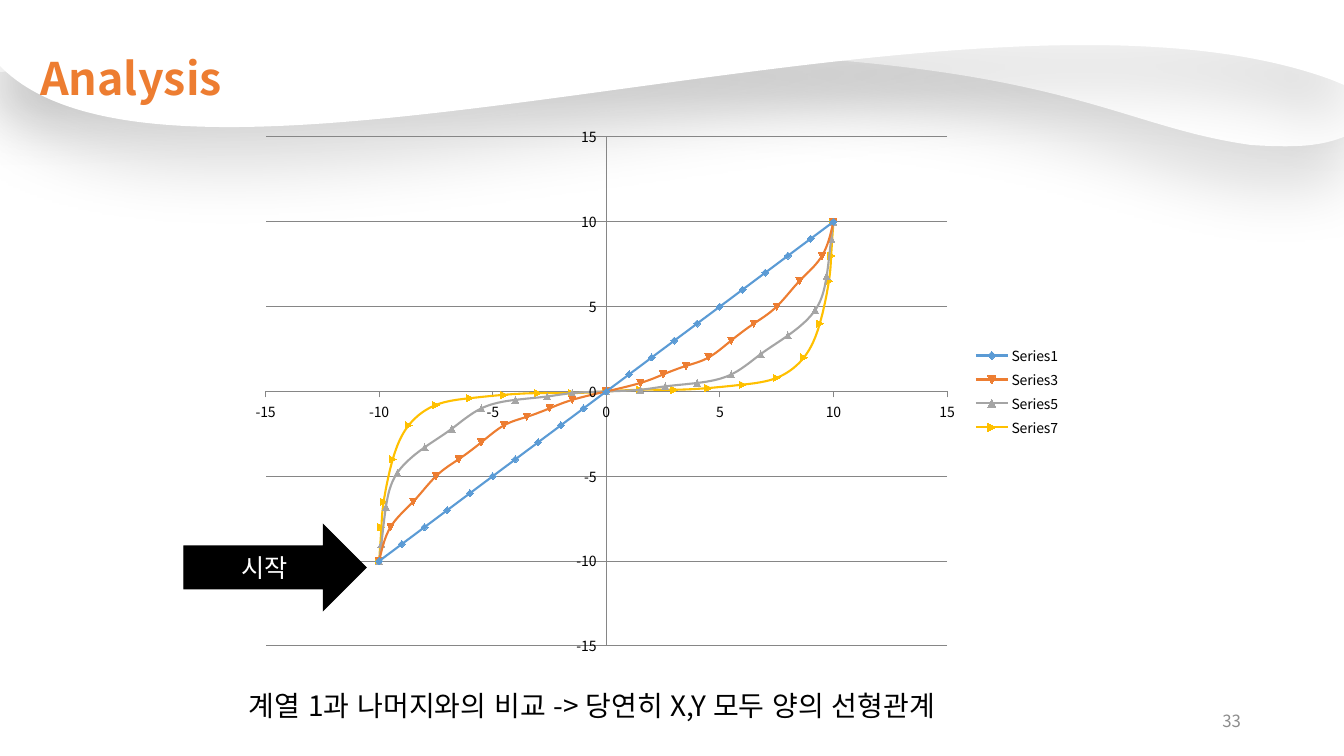
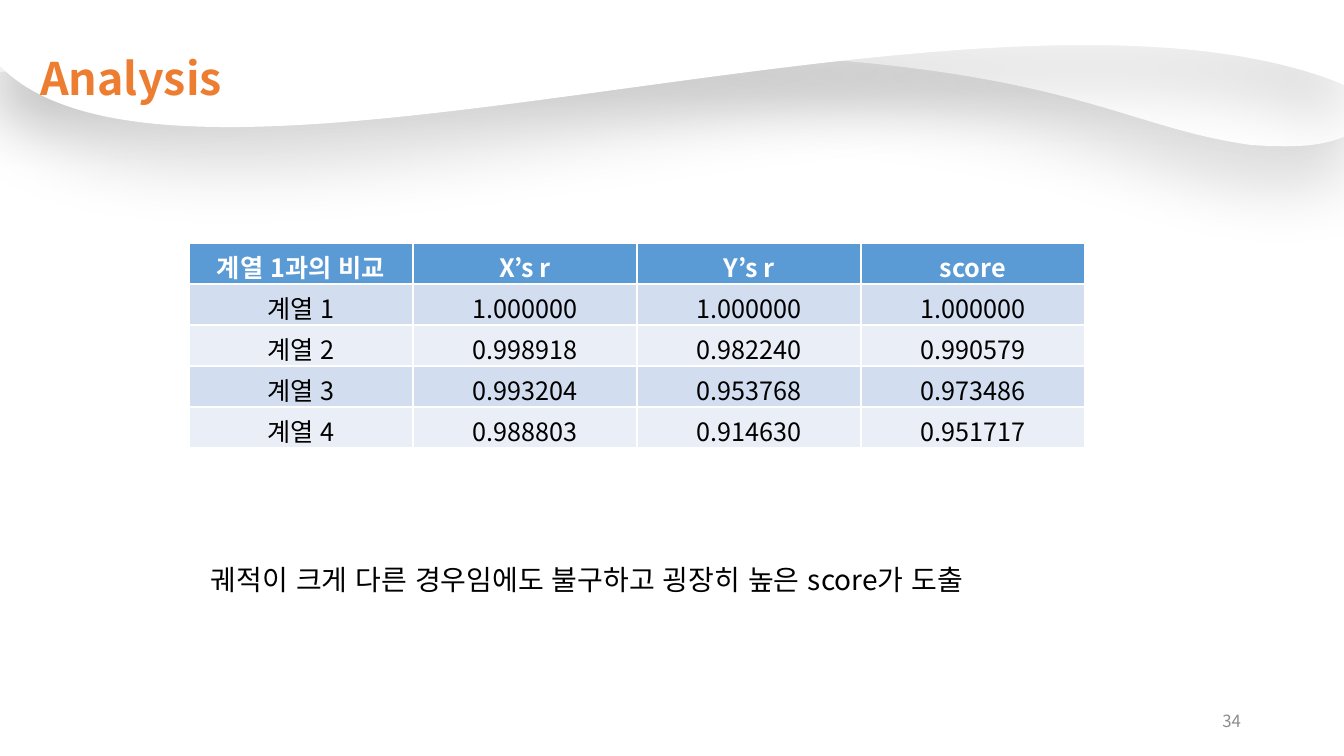
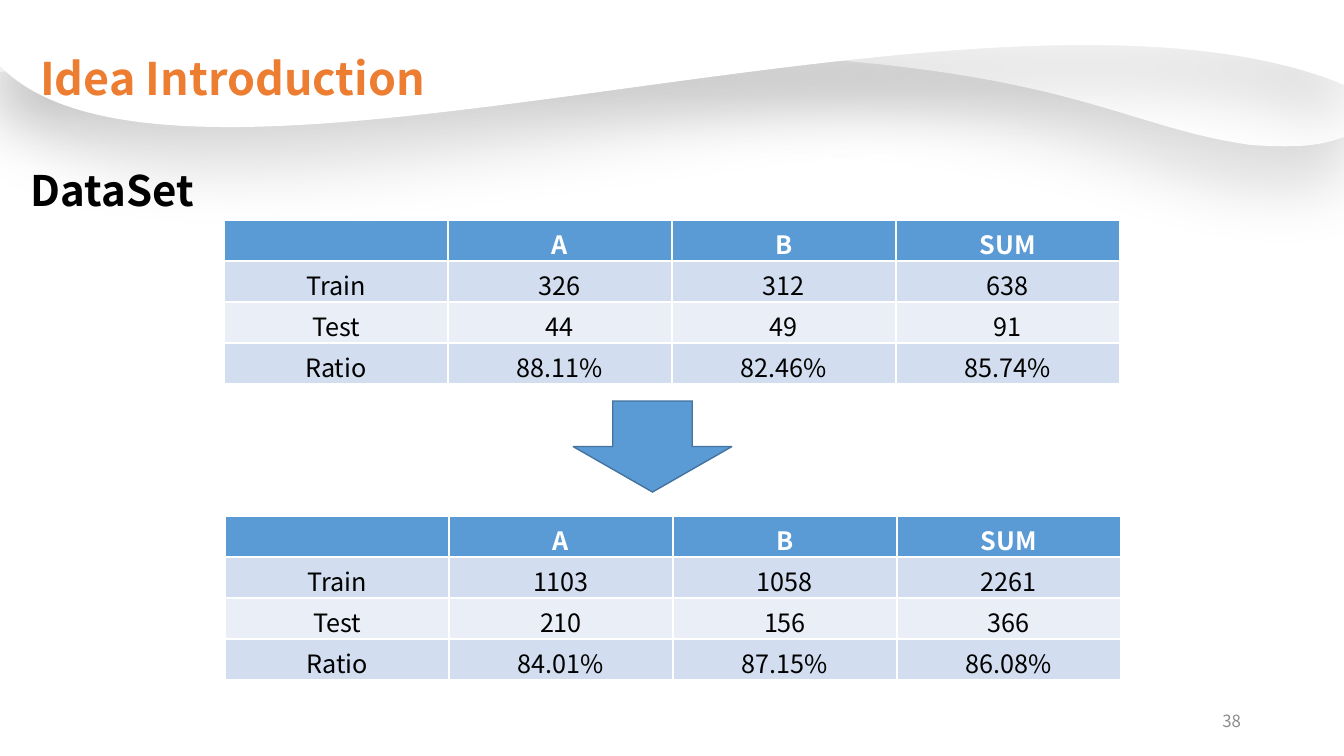
from dataclasses import dataclass

import pptx
import pptx.chart.data
import pptx.dml.color
import pptx.enum.chart
import pptx.enum.lang
import pptx.enum.shapes
import pptx.enum.text
import pptx.oxml.ns
import pptx.util
from lxml import etree

SLIDE_WIDTH, SLIDE_HEIGHT = 1344, 756
EMU_PER_PX = 12192000 / SLIDE_WIDTH
FONT = "Noto Sans CJK KR"
WHITE, BLACK, ORANGE, BLUE = "FFFFFF", "000000", "ED7D31", "5B9BD5"
DARK_BLUE, GRAY, YELLOW = "43739E", "A5A5A5", "FFC000"
PAGE_GRAY, AXIS_GRAY = "8C8C8C", "868686"
BAND_COLORS = ("D2DEEF", "EAEFF7")
COLUMN_WIDTH, ROW_HEIGHT = 224, 41

ALIGN = pptx.enum.text.PP_ALIGN
ANCHOR = pptx.enum.text.MSO_ANCHOR
PRESET = pptx.enum.shapes.MSO_SHAPE
Point = tuple[int, int]


@dataclass(frozen=True)
class Box:
    left: int
    top: int
    width: int
    height: int

    def emu(self) -> tuple[int, ...]:
        return tuple(px(v) for v in (self.left, self.top, self.width, self.height))


@dataclass(frozen=True)
class TextStyle:
    size: int
    color: str = BLACK
    bold: bool = False
    align: ALIGN = ALIGN.LEFT
    line_spacing: float = 1.0


@dataclass(frozen=True)
class Wave:
    """An outline along the top, down the left side and back along curves."""
    width: int
    height: int
    left_end: int
    curves: list[tuple[Point, Point, Point]]
    right_end: int


@dataclass(frozen=True)
class Series:
    color: str
    x_half: list[float]
    y_half: list[float]


TITLE = TextStyle(32, ORANGE, True, line_spacing=2.5)
PAGE_NUMBER = TextStyle(12, PAGE_GRAY, align=ALIGN.RIGHT)
CAPTION = TextStyle(20, align=ALIGN.JUSTIFY, line_spacing=1.5)
SUBTITLE = TextStyle(30, bold=True, align=ALIGN.JUSTIFY)
HEADER_CELL = TextStyle(18, WHITE, True, ALIGN.CENTER)
BODY_CELL = TextStyle(18, align=ALIGN.CENTER)
ARROW_LABEL = TextStyle(18, WHITE, align=ALIGN.CENTER)

WAVES = (
    Wave(1346, 146, 72, [((1043, 3), (1058, 118), (1251, 145)),
                         ((1298, 148), (1322, 146), (1346, 136))], 136),
    Wave(1344, 127, 66, [((180, 250), (972, -53), (1332, 80))], 85),
)

# Values above zero; every series is symmetric about the origin.
SERIES = (
    Series(BLUE, list(range(1, 11)), list(range(1, 11))),
    Series(ORANGE,
           [1.5, 2.5, 3.5, 4.5, 5.5, 6.5, 7.5, 8.5, 9.5, 10],
           [0.5, 1, 1.5, 2, 3, 4, 5, 6.5, 8, 10]),
    Series(GRAY,
           [1.5, 2.6, 4, 5.5, 6.8, 8, 9.2, 9.7, 9.9, 10],
           [0.1, 0.3, 0.5, 1, 2.2, 3.3, 4.8, 6.8, 9, 10]),
    Series(YELLOW,
           [1.5, 3, 4.5, 6, 7.5, 8.7, 9.4, 9.8, 9.9, 10],
           [0.1, 0.1, 0.2, 0.4, 0.8, 2, 4, 6.5, 8, 10]),
)

SCORES = [
    ["계열 1과의 비교", "X’s r", "Y’s r", "score"],
    ["계열 1", "1.000000", "1.000000", "1.000000"],
    ["계열 2", "0.998918", "0.982240", "0.990579"],
    ["계열 3", "0.993204", "0.953768", "0.973486"],
    ["계열 4", "0.988803", "0.914630", "0.951717"],
]
DATASET_HEADER = ["", "A", "B", "SUM"]
DATASET_BEFORE = [
    DATASET_HEADER,
    ["Train", "326", "312", "638"],
    ["Test", "44", "49", "91"],
    ["Ratio", "88.11%", "82.46%", "85.74%"],
]
DATASET_AFTER = [
    DATASET_HEADER,
    ["Train", "1103", "1058", "2261"],
    ["Test", "210", "156", "366"],
    ["Ratio", "84.01%", "87.15%", "86.08%"],
]


def px(value: float) -> int:
    return round(value * EMU_PER_PX)


def rgb(color: str) -> pptx.dml.color.RGBColor:
    return pptx.dml.color.RGBColor.from_string(color)


def add_element(parent, tag: str, **attributes):
    element = etree.SubElement(parent, pptx.oxml.ns.qn(tag))
    for name, value in attributes.items():
        element.set(name, str(value))
    return element


def write(text_frame, text: str, style: TextStyle) -> None:
    text_frame.text = text
    paragraph = text_frame.paragraphs[0]
    paragraph.alignment = style.align
    paragraph.line_spacing = style.line_spacing
    for run in paragraph.runs:
        run.font.size = pptx.util.Pt(style.size)
        run.font.bold = style.bold
        run.font.color.rgb = rgb(style.color)
        run.font.name = FONT
        run.font.language_id = pptx.enum.lang.MSO_LANGUAGE_ID.KOREAN
        add_element(run.font._element, "a:ea", typeface=FONT)


def place_text(shape, text: str, style: TextStyle, anchor=ANCHOR.TOP) -> None:
    text_frame = shape.text_frame
    write(text_frame, text, style)
    text_frame.word_wrap = True
    text_frame.vertical_anchor = anchor
    if anchor == ANCHOR.TOP:
        text_frame.auto_size = pptx.enum.text.MSO_AUTO_SIZE.SHAPE_TO_FIT_TEXT


def add_text(slide, box: Box, text: str, style: TextStyle, anchor=ANCHOR.TOP) -> None:
    place_text(slide.shapes.add_textbox(*box.emu()), text, style, anchor)


def bend(shape, wave: Wave) -> None:
    """Turn the straight segments that end the wave's curves into cubic ones."""
    outline = next(shape.element.iter(pptx.oxml.ns.qn("a:path")))
    shape.width, shape.height = px(wave.width), px(wave.height)
    outline.set("w", str(px(wave.width)))
    outline.set("h", str(px(wave.height)))
    segments = outline.findall(pptx.oxml.ns.qn("a:lnTo"))
    for segment, curve in zip(segments[2:], wave.curves):
        cubic = etree.Element(pptx.oxml.ns.qn("a:cubicBezTo"))
        for x, y in curve:
            add_element(cubic, "a:pt", x=px(x), y=px(y))
        outline.replace(segment, cubic)


def add_wave(slide, wave: Wave):
    corners = [(wave.width, 0), (0, 0), (0, wave.left_end),
               *(curve[-1] for curve in wave.curves), (wave.width, wave.right_end)]
    outline = [(px(x), px(y)) for x, y in corners]
    builder = slide.shapes.build_freeform(*outline[0], scale=1.0)
    builder.add_line_segments(outline[1:], close=True)
    shape = builder.convert_to_shape()
    bend(shape, wave)
    shape.fill.solid()
    shape.fill.fore_color.rgb = rgb(WHITE)
    shape.line.fill.background()
    shape.shadow.inherit = False
    effects = shape.element.spPr.find(pptx.oxml.ns.qn("a:effectLst"))
    shadow = add_element(effects, "a:outerShdw", blurRad=pptx.util.Pt(43),
                         dist=pptx.util.Pt(31), dir=90 * 60000,
                         algn="t", rotWithShape=0)
    color = add_element(shadow, "a:srgbClr", val=BLACK)
    add_element(color, "a:alpha", val=13000)
    return shape


def add_slide(presentation, title: str, number: int):
    """A title-only slide with the wave band behind the title."""
    slide = presentation.slides.add_slide(presentation.slide_layouts[5])
    for index, wave in enumerate(WAVES):
        slide.shapes.element.insert(2 + index, add_wave(slide, wave).element)
    shape = slide.shapes.title
    shape.left, shape.top, shape.width, shape.height = Box(30, -35, 830, 122).emu()
    place_text(shape, title, TITLE)
    add_text(slide, Box(949, 701, 302, 40), str(number), PAGE_NUMBER, ANCHOR.MIDDLE)
    return slide


def add_arrow(slide, preset, box: Box, fill: str, line: str):
    shape = slide.shapes.add_shape(preset, *box.emu())
    shape.shadow.inherit = False
    shape.fill.solid()
    shape.fill.fore_color.rgb = rgb(fill)
    shape.line.color.rgb = rgb(line)
    shape.line.width = pptx.util.Pt(1)
    outline = shape.element.spPr.find(pptx.oxml.ns.qn("a:ln"))
    add_element(outline, "a:miter", lim=800000)
    return shape


def add_table(slide, left: int, top: int, rows: list[list[str]]) -> None:
    """A table whose white rules come from the default table style."""
    box = Box(left, top, COLUMN_WIDTH * len(rows[0]), ROW_HEIGHT * len(rows))
    table = slide.shapes.add_table(len(rows), len(rows[0]), *box.emu()).table
    for row_index, texts in enumerate(rows):
        is_header = row_index == 0
        fill = BLUE if is_header else BAND_COLORS[(row_index - 1) % 2]
        for column_index, text in enumerate(texts):
            cell = table.cell(row_index, column_index)
            cell.fill.solid()
            cell.fill.fore_color.rgb = rgb(fill)
            write(cell.text_frame, text, HEADER_CELL if is_header else BODY_CELL)


def mirrored(half: list[float]) -> list[float]:
    return [-value for value in reversed(half)] + [0] + half


def style_series(drawn, color: str) -> None:
    """Smooth, coloured line with an automatic name."""
    drawn.format.line.color.rgb = rgb(color)
    drawn.format.line.width = pptx.util.Pt(1.5)
    element = drawn._element
    element.remove(element.find(pptx.oxml.ns.qn("c:tx")))
    smooth = element.find(pptx.oxml.ns.qn("c:smooth"))
    if smooth is None:
        smooth = add_element(element, "c:smooth")
    smooth.set("val", "1")


def add_scatter(slide, box: Box) -> None:
    data = pptx.chart.data.XyChartData()
    for series in SERIES:
        points = data.add_series("")
        for x, y in zip(mirrored(series.x_half), mirrored(series.y_half)):
            points.add_data_point(x, y)
    chart = slide.shapes.add_chart(
        pptx.enum.chart.XL_CHART_TYPE.XY_SCATTER_SMOOTH, *box.emu(), data).chart
    chart.has_title = False
    chart.font.name = FONT
    chart.font.size = pptx.util.Pt(10)
    chart.font.color.rgb = rgb(BLACK)
    chart.has_legend = True
    chart.legend.position = pptx.enum.chart.XL_LEGEND_POSITION.RIGHT
    chart.legend.include_in_layout = False
    for axis in (chart.category_axis, chart.value_axis):
        axis.minimum_scale, axis.maximum_scale, axis.major_unit = -15, 15, 5
        axis.major_tick_mark = pptx.enum.chart.XL_TICK_MARK.OUTSIDE
        axis.minor_tick_mark = pptx.enum.chart.XL_TICK_MARK.NONE
        axis.format.line.color.rgb = rgb(AXIS_GRAY)
    chart.category_axis.has_major_gridlines = False
    chart.value_axis.major_gridlines.format.line.color.rgb = rgb(AXIS_GRAY)
    plot = chart.plots[0]
    plot.vary_by_categories = False
    for drawn, series in zip(plot.series, SERIES):
        style_series(drawn, series.color)


def build_trajectory_slide(presentation) -> None:
    slide = add_slide(presentation, "Analysis", 33)
    add_text(slide, Box(239, 667, 1194, 61),
             "계열 1과 나머지와의 비교 -> 당연히 X,Y 모두 양의 선형관계", CAPTION)
    add_scatter(slide, Box(239, 116, 832, 551))
    arrow = add_arrow(slide, PRESET.RIGHT_ARROW, Box(184, 525, 182, 85), BLACK, BLACK)
    write(arrow.text_frame, "시작", ARROW_LABEL)
    arrow.text_frame.vertical_anchor = ANCHOR.MIDDLE


def build_score_slide(presentation) -> None:
    slide = add_slide(presentation, "Analysis", 34)
    add_text(slide, Box(201, 541, 1194, 61),
             "궤적이 크게 다른 경우임에도 불구하고 굉장히 높은 score가 도출", CAPTION)
    add_table(slide, 189, 243, SCORES)


def build_dataset_slide(presentation) -> None:
    slide = add_slide(presentation, "Idea Introduction", 38)
    add_text(slide, Box(21, 160, 1194, 61), "DataSet", SUBTITLE)
    add_table(slide, 224, 220, DATASET_BEFORE)
    add_arrow(slide, PRESET.DOWN_ARROW, Box(573, 401, 159, 91), BLUE, DARK_BLUE)
    add_table(slide, 225, 516, DATASET_AFTER)


def main() -> None:
    presentation = pptx.Presentation()
    presentation.slide_width = px(SLIDE_WIDTH)
    presentation.slide_height = px(SLIDE_HEIGHT)
    build_trajectory_slide(presentation)
    build_score_slide(presentation)
    build_dataset_slide(presentation)
    presentation.save("out.pptx")


if __name__ == "__main__":
    main()
